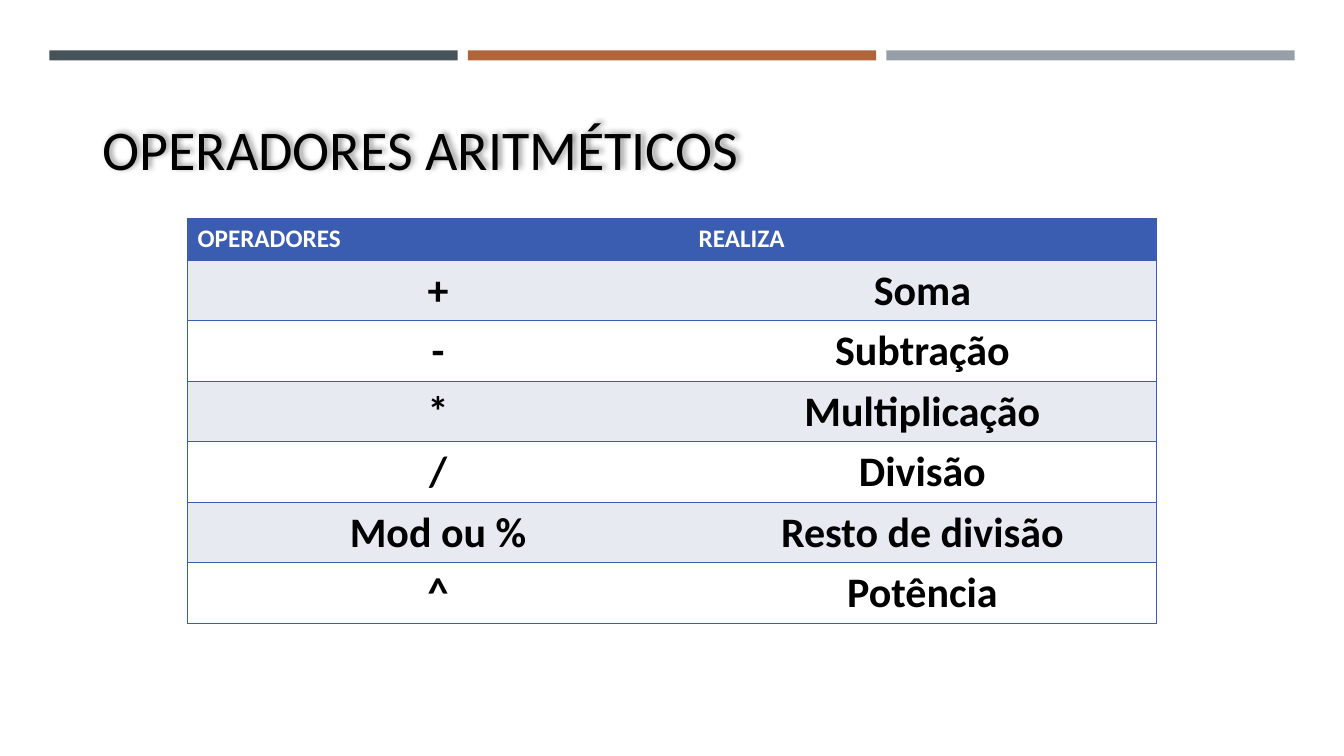
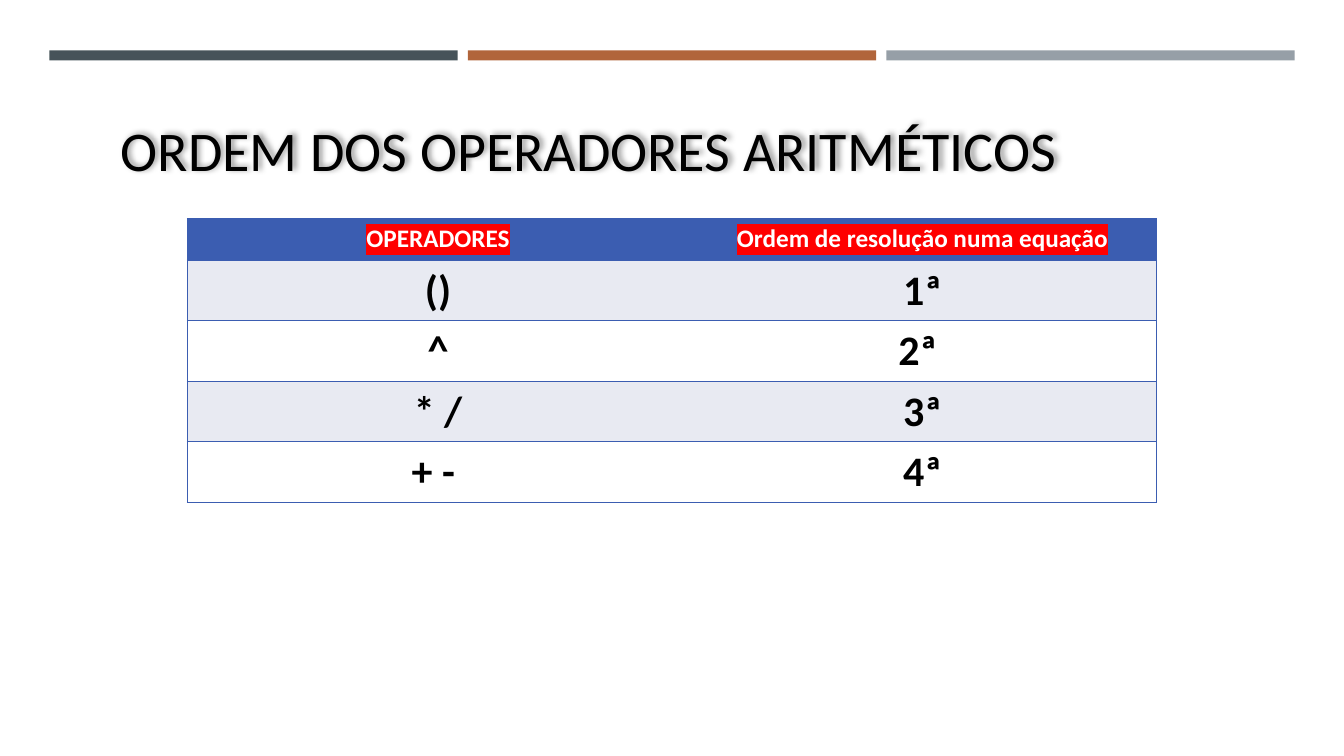
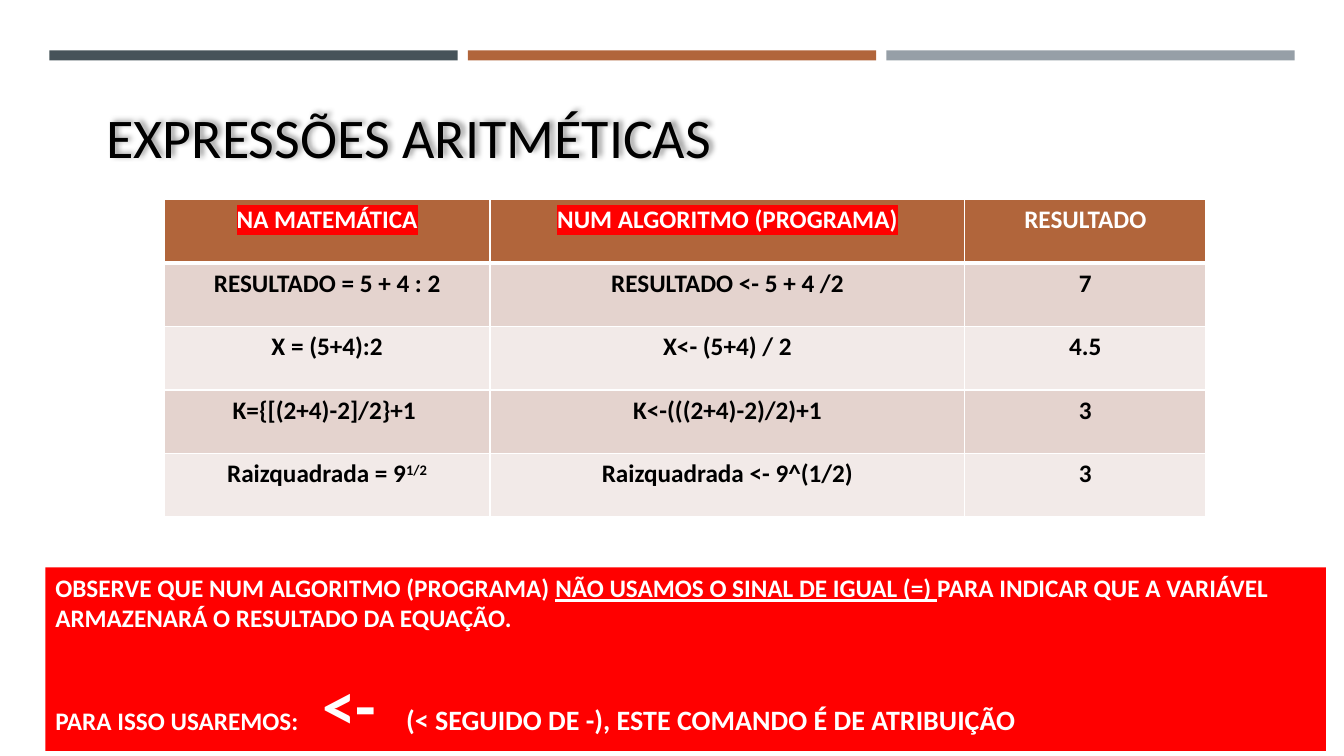
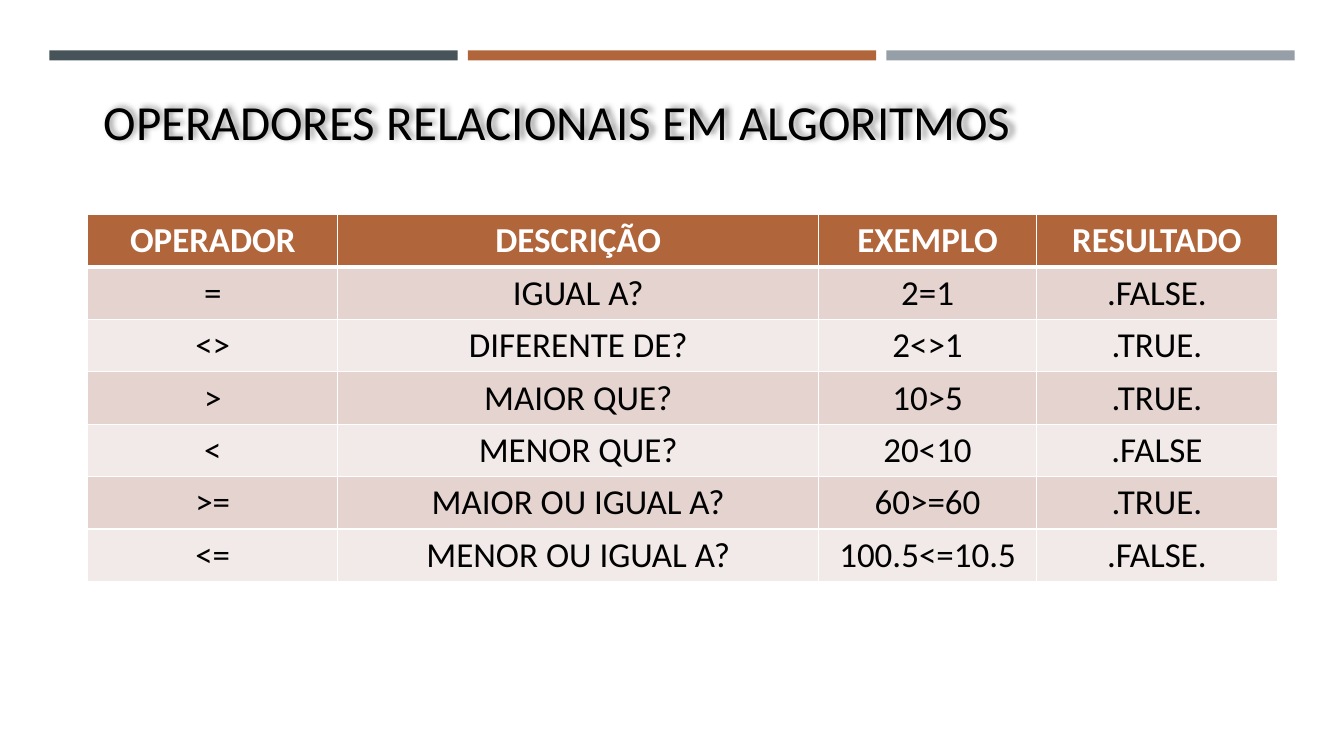
from lxml import etree
from pptx import Presentation
from pptx.dml.color import RGBColor
from pptx.enum.shapes import MSO_SHAPE
from pptx.enum.text import MSO_ANCHOR, MSO_AUTO_SIZE, PP_ALIGN
from pptx.oxml.ns import qn
from pptx.util import Inches, Pt

RECT = MSO_SHAPE.RECTANGLE
LEFT, CENTER = PP_ALIGN.LEFT, PP_ALIGN.CENTER
TOP = MSO_ANCHOR.TOP
FIT_SHAPE = MSO_AUTO_SIZE.SHAPE_TO_FIT_TEXT

BLACK = RGBColor(0x00, 0x00, 0x00)
WHITE = RGBColor(0xFF, 0xFF, 0xFF)
RED = RGBColor(0xFF, 0x00, 0x00)
SLATE = RGBColor(0x46, 0x53, 0x59)
RUST = RGBColor(0xB1, 0x65, 0x3B)
GREY = RGBColor(0x96, 0x9F, 0xA7)
BLUE = RGBColor(0x3B, 0x5D, 0xB1)
PALE_BLUE = RGBColor(0xE8, 0xEA, 0xF2)
PINK = RGBColor(0xE4, 0xD3, 0xCE)
PALE_PINK = RGBColor(0xF2, 0xEA, 0xE8)

FONT = "Calibri"
NO_STYLE = "{2D5ABB26-0587-4C30-8999-92F81FD0307C}"
W, H = 13.33, 7.5
MARGIN, GAP = 0.49, 0.1
BAND_W = (W - 2 * MARGIN - 2 * GAP) / 3

BLUE_STYLE = dict(header=BLUE, bands=(PALE_BLUE, WHITE), line=BLUE, inner=False, rule=1)
RUST_STYLE = dict(header=RUST, bands=(PINK, PALE_PINK), line=WHITE, inner=True, rule=3)

SLIDES = [
    dict(title="OPERADORES ARITMÉTICOS", title_at=(0.52, 1.09, 7.3, 0.77), title_size=40,
         at=(1.86, 2.17), cols=(4.97, 4.64), heights=(0.41, 0.6), sizes=(18, 30),
         header_align=LEFT, bold=True, marked=0, style=BLUE_STYLE,
         rows=[("OPERADORES", "REALIZA"), ("+", "Soma"), ("-", "Subtração"),
               ("*", "Multiplicação"), ("/", "Divisão"),
               ("Mod ou %", "Resto de divisão"), ("^", "Potência")]),
    dict(title="ORDEM DOS OPERADORES ARITMÉTICOS", title_at=(0.49, 1.1, 10.69, 0.77),
         title_size=40, at=(1.86, 2.17), cols=(4.97, 4.64), heights=(0.41, 0.6),
         sizes=(18, 30), header_align=CENTER, bold=True, marked=2, style=BLUE_STYLE,
         rows=[("OPERADORES", "Ordem de resolução numa equação"), ("()", "1ª"),
               ("^", "2ª "), ("* /", "3ª"), ("+ - ", "4ª")]),
    dict(title="EXPRESSÕES ARITMÉTICAS", title_at=(0.64, 0.97, 6.83, 0.77), title_size=40,
         at=(1.63, 1.98), cols=(3.23, 4.71, 2.39), heights=(0.63, 0.63), sizes=(18, 18),
         header_align=CENTER, bold=True, marked=2, style=RUST_STYLE,
         rows=[("NA MATEMÁTICA", "NUM ALGORITMO (PROGRAMA)", "RESULTADO"),
               ("RESULTADO = 5 + 4 : 2", "RESULTADO <- 5 + 4 /2", "7"),
               ("X = (5+4):2", "X<- (5+4) / 2", "4.5"),
               ("K={[(2+4)-2]/2}+1 ", "K<-(((2+4)-2)/2)+1", "3"),
               ("Raizquadrada = 9", "Raizquadrada <- 9^(1/2)", "3")]),
    dict(title="OPERADORES RELACIONAIS EM ALGORITMOS", title_at=(0.36, 0.86, 10.34, 0.69),
         title_size=35, at=(0.87, 2.13), cols=(2.48, 4.77, 2.16, 2.39),
         heights=(0.52, 0.52), sizes=(25, 25), header_align=CENTER, bold=False, marked=0,
         style=RUST_STYLE,
         rows=[("OPERADOR", "DESCRIÇÃO", "EXEMPLO", "RESULTADO"),
               ("=", "IGUAL A?", "2=1", ".FALSE."),
               ("<>", "DIFERENTE DE?", "2<>1", ".TRUE."),
               (">", "MAIOR QUE?", "10>5", ".TRUE."),
               ("<", "MENOR QUE?", "20<10", ".FALSE"),
               (">=", "MAIOR OU IGUAL A?", "60>=60", ".TRUE."),
               ("<=", "MENOR OU IGUAL A?", "100.5<=10.5", ".FALSE.")]),
]


def add_xml(parent, tag, **attrs):
    return etree.SubElement(parent, qn(tag), {k: str(v) for k, v in attrs.items()})


def set_font(p, size, color, bold, align):
    p.alignment = align
    p.font.name, p.font.size, p.font.bold = FONT, Pt(size), bold
    p.font.color.rgb = color


prs = Presentation()
prs.slide_width, prs.slide_height = Inches(W), Inches(H)
layout = prs.slide_layouts[5]
slides = [prs.slides.add_slide(layout) for _ in SLIDES]

for i, color in enumerate((SLATE, RUST, GREY)):
    band = slides[0].shapes.add_shape(
        RECT, Inches(MARGIN + i * (BAND_W + GAP)), Inches(0.5), Inches(BAND_W), Inches(0.1))
    band.shadow.inherit = False
    band.fill.solid()
    band.fill.fore_color.rgb = color
    band.line.fill.background()
    band.element.nvSpPr.cNvPr.id = 20 + i
    layout.element.cSld.spTree.append(band.element)

for s, d in zip(slides, SLIDES):
    title = s.shapes.title
    title.left, title.top, title.width, title.height = map(Inches, d["title_at"])
    tf = title.text_frame
    tf.text = d["title"]
    tf.word_wrap = False
    tf.auto_size = FIT_SHAPE
    tf.vertical_anchor = TOP
    set_font(tf.paragraphs[0], d["title_size"], BLACK, False, CENTER)
    effects = add_xml(title.element.spPr, "a:effectLst")
    shadow = add_xml(effects, "a:outerShdw", blurRad=50800, dist=38100, dir=18900000,
                     algn="bl", rotWithShape=0)
    add_xml(add_xml(shadow, "a:prstClr", val="black"), "a:alpha", val=40000)

    rows, cols, style = d["rows"], d["cols"], d["style"]
    heights = [d["heights"][min(i, 1)] for i in range(len(rows))]
    frame = s.shapes.add_table(len(rows), len(cols), *map(Inches, d["at"]),
                               Inches(sum(cols)), Inches(sum(heights)))
    frame.element.find(".//" + qn("a:tableStyleId")).text = NO_STYLE
    table = frame.table
    for j, width in enumerate(cols):
        table.columns[j].width = Inches(width)
    for i, row in enumerate(rows):
        table.rows[i].height = Inches(heights[i])
        is_header = i == 0
        for j, text in enumerate(row):
            cell = table.cell(i, j)
            cell.text = text
            p = cell.text_frame.paragraphs[0]
            set_font(p, d["sizes"][min(i, 1)], WHITE if is_header else BLACK,
                     is_header or d["bold"], d["header_align"] if is_header else CENTER)
            if is_header and j < d["marked"]:
                mark = add_xml(p.runs[0]._r.get_or_add_rPr(), "a:highlight")
                add_xml(mark, "a:srgbClr", val=RED)

            borders = {"L": 1 if j == 0 or style["inner"] else 0,
                       "R": 1 if j == len(cols) - 1 or style["inner"] else 0,
                       "T": style["rule"] if i == 1 else 1,
                       "B": style["rule"] if is_header else 1}
            tcPr = cell._tc.get_or_add_tcPr()
            for side, weight in borders.items():
                if weight:
                    ln = add_xml(tcPr, "a:ln" + side, w=Pt(weight))
                    add_xml(add_xml(ln, "a:solidFill"), "a:srgbClr", val=style["line"])
            cell.fill.solid()
            cell.fill.fore_color.rgb = style["header"] if is_header else style["bands"][(i - 1) % 2]

    if d["title"].startswith("EXPRESSÕES"):
        r = table.cell(4, 0).text_frame.paragraphs[0].add_run()
        r.text = "1/2"
        r._r.get_or_add_rPr().set("baseline", "30000")

s = slides[2]
note = s.shapes.add_textbox(Inches(0.45), Inches(5.63), Inches(12.7), Inches(1.82))
note.fill.solid()
note.fill.fore_color.rgb = RED
tf = note.text_frame
tf.word_wrap = True
p = tf.paragraphs[0]
set_font(p, 18, WHITE, True, LEFT)
for text, underline in [("OBSERVE QUE NUM ALGORITMO (PROGRAMA) ", False),
                        ("NÃO USAMOS O SINAL DE IGUAL (=) ", True),
                        ("PARA INDICAR QUE A VARIÁVEL ARMAZENARÁ O RESULTADO DA EQUAÇÃO.", False)]:
    r = p.add_run()
    r.text = text
    r.font.underline = underline

p = tf.add_paragraph()
p.space_before = Pt(22)
tabs = add_xml(p._p.get_or_add_pPr(), "a:tabLst")
for stop in (2.65, 3.48):
    add_xml(tabs, "a:tab", pos=Inches(stop), algn="l")
set_font(p, 18, WHITE, True, LEFT)
for text, size in [("PARA ISSO USAREMOS:\t", 18), ("<-\t", 48),
                   ("(< SEGUIDO DE -), ESTE COMANDO É DE ATRIBUIÇÃO", 20)]:
    r = p.add_run()
    r.text = text
    r.font.size = Pt(size)

prs.save("out.pptx")
